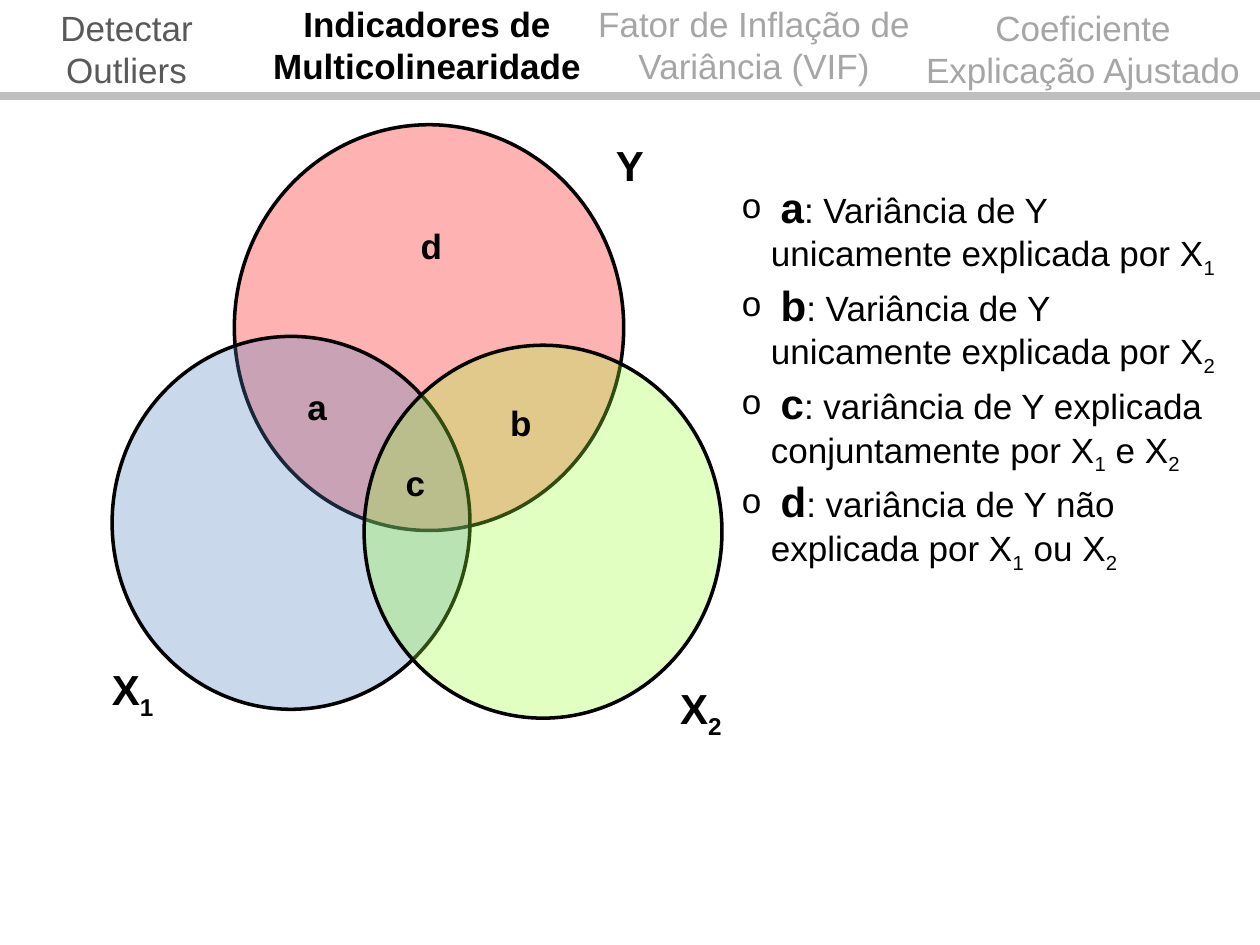
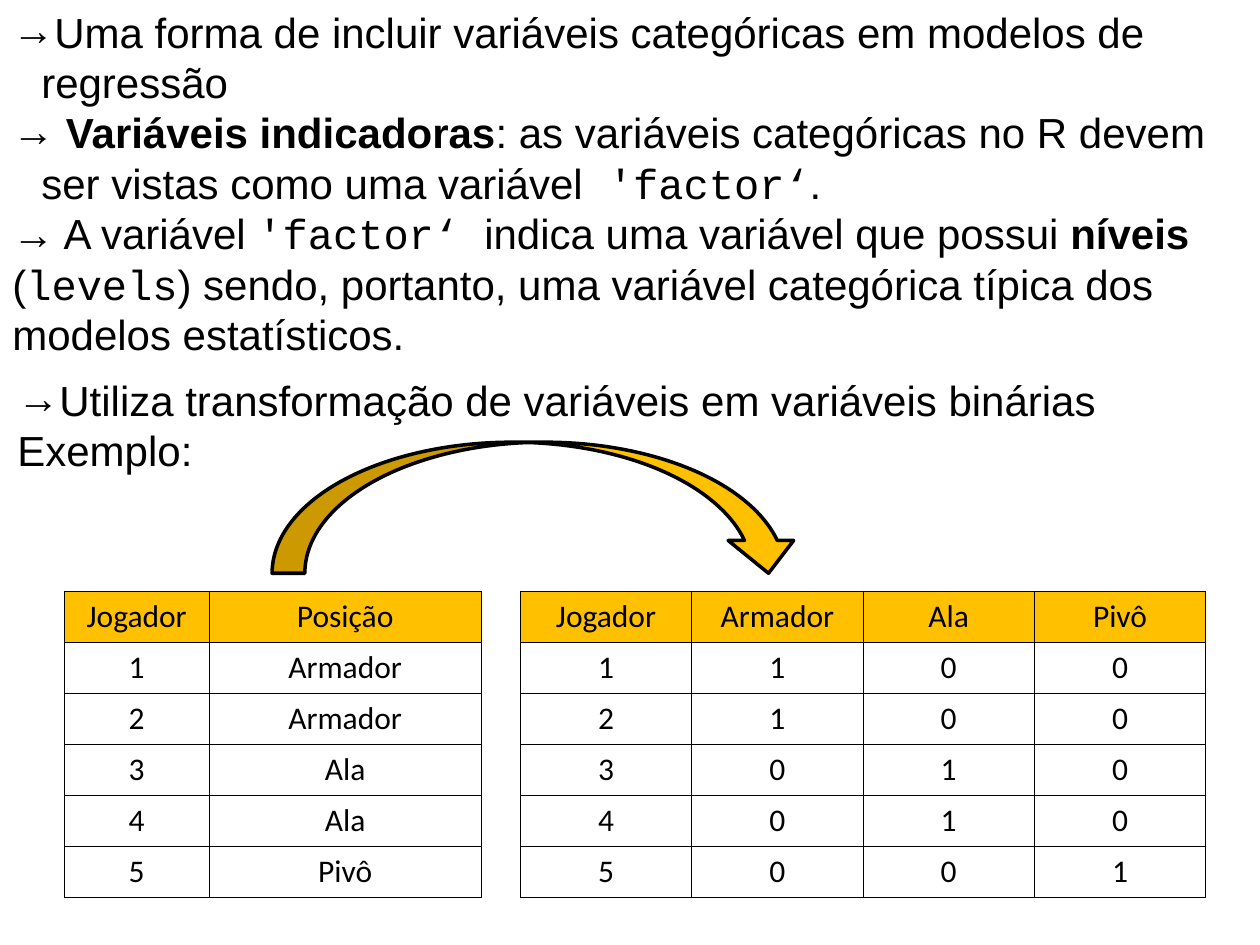
from dataclasses import dataclass
from typing import Any, Optional

from lxml.etree import SubElement
from pptx import Presentation
from pptx.dml.color import RGBColor
from pptx.enum.shapes import MSO_CONNECTOR, MSO_SHAPE
from pptx.enum.text import MSO_ANCHOR, MSO_AUTO_SIZE, PP_ALIGN
from pptx.oxml.ns import qn
from pptx.util import Emu, Pt

PX = 9144  # EMU per px: 100 px to the inch
SLIDE_WIDTH, SLIDE_HEIGHT = 1000, 750
BULLET_INDENT = 23

BLACK = RGBColor(0x00, 0x00, 0x00)
DARK_GRAY = RGBColor(0x59, 0x59, 0x59)
LIGHT_GRAY = RGBColor(0xA6, 0xA6, 0xA6)
RULE_GRAY = RGBColor(0xBF, 0xBF, 0xBF)
RED = RGBColor(0xFF, 0x00, 0x00)
BLUE = RGBColor(0x4F, 0x81, 0xBD)
GREEN = RGBColor(0x99, 0xFF, 0x33)
GOLD = RGBColor(0xFF, 0xC0, 0x00)

ARIAL, CALIBRI, COURIER = "Arial", "Calibri", "Courier New"


@dataclass(frozen=True)
class Box:
    left: int
    top: int
    width: int
    height: int

    def emu(self) -> tuple[Emu, ...]:
        return tuple(px(v) for v in (self.left, self.top, self.width, self.height))


@dataclass(frozen=True)
class Run:
    text: str
    size: int = 24
    bold: bool = False
    font: str = ARIAL
    color: RGBColor = BLACK
    subscript: bool = False


@dataclass(frozen=True)
class Line:
    runs: list[Run]
    bullet: Optional[str] = None
    align: PP_ALIGN = PP_ALIGN.LEFT


@dataclass(frozen=True)
class Tab:
    text: str
    box: Box
    color: RGBColor
    active: bool = False


@dataclass(frozen=True)
class Circle:
    box: Box
    color: RGBColor


@dataclass(frozen=True)
class Label:
    box: Box
    text: str
    size: int
    index: str = ""


@dataclass(frozen=True)
class Grid:
    box: Box
    columns: list[int]
    rows: list[list[str]]


TABS = [
    Tab("Detectar Outliers", Box(0, 0, 201, 77), DARK_GRAY),
    Tab("Indicadores de Multicolinearidade", Box(201, -3, 276, 77), BLACK, True),
    Tab("Fator de Inflação de Variância (VIF)", Box(453, -3, 291, 77), LIGHT_GRAY),
    Tab("Coeficiente Explicação Ajustado", Box(719, 0, 281, 77), LIGHT_GRAY),
]

CIRCLES = [
    Circle(Box(186, 99, 309, 322), RED),
    Circle(Box(89, 267, 284, 296), BLUE),
    Circle(Box(289, 274, 284, 296), GREEN),
]

LABELS = [
    Label(Box(479, 106, 42, 50), "Y", 24),
    Label(Box(79, 522, 53, 56), "X", 24, "1"),
    Label(Box(530, 537, 53, 56), "X", 24, "2"),
    Label(Box(234, 301, 35, 44), "a", 20),
    Label(Box(395, 314, 37, 44), "b", 20),
    Label(Box(312, 361, 35, 44), "c", 20),
    Label(Box(324, 173, 37, 44), "d", 20),
]

# Each region: letter, then alternating text and subscript
REGIONS = [
    ("a", [": Variância de Y unicamente explicada por X", "1"]),
    ("b", [": Variância de Y unicamente explicada por X", "2"]),
    ("c", [": variância de Y explicada conjuntamente por X", "1", " e X", "2"]),
    ("d", [": variância de Y não explicada por X", "1", " ou X", "2"]),
]

POSITIONS = ["Armador", "Ala", "Pivô"]
PLAYERS = ["Armador", "Armador", "Ala", "Ala", "Pivô"]


def px(value: int) -> Emu:
    return Emu(value * PX)


def add_bullet(paragraph: Any, character: str) -> None:
    properties = paragraph._p.get_or_add_pPr()
    properties.set("marL", str(px(BULLET_INDENT)))
    properties.set("indent", str(-px(BULLET_INDENT)))
    color = SubElement(properties, qn("a:buClr"))
    SubElement(color, qn("a:srgbClr"), val=str(BLACK))
    SubElement(properties, qn("a:buFont"), typeface=ARIAL)
    SubElement(properties, qn("a:buChar"), char=character)


def write_lines(frame: Any, lines: list[Line]) -> None:
    for number, line in enumerate(lines):
        paragraph = frame.add_paragraph() if number else frame.paragraphs[0]
        paragraph.alignment = line.align
        if line.bullet:
            add_bullet(paragraph, line.bullet)
        for item in line.runs:
            run = paragraph.add_run()
            run.text = item.text
            run.font.size = Pt(item.size)
            run.font.bold = item.bold
            run.font.name = item.font
            run.font.color.rgb = item.color
            if item.subscript:
                run._r.get_or_add_rPr().set("baseline", "-25000")


def fill_text(shape: Any, lines: list[Line], wrap: bool = True) -> None:
    frame = shape.text_frame
    frame.word_wrap = wrap
    frame.auto_size = MSO_AUTO_SIZE.SHAPE_TO_FIT_TEXT
    frame.vertical_anchor = MSO_ANCHOR.TOP
    write_lines(frame, lines)


def add_text(shapes: Any, box: Box, lines: list[Line], wrap: bool = True) -> None:
    fill_text(shapes.add_textbox(*box.emu()), lines, wrap)


def add_outlined(shapes: Any, kind: MSO_SHAPE, box: Box, color: RGBColor) -> Any:
    shape = shapes.add_shape(kind, *box.emu())
    shape.shadow.inherit = False
    shape.fill.solid()
    shape.fill.fore_color.rgb = color
    shape.line.color.rgb = BLACK
    shape.line.width = Pt(2)
    return shape


def add_circle(shapes: Any, circle: Circle) -> None:
    shape = add_outlined(shapes, MSO_SHAPE.OVAL, circle.box, circle.color)
    fill_color = shape._element.xpath("./p:spPr/a:solidFill/a:srgbClr")[0]
    SubElement(fill_color, qn("a:alpha"), val="30000")


def add_navigation(slide: Any) -> None:
    for tab in TABS:
        line = Line([Run(tab.text, 20, tab.active, color=tab.color)], align=PP_ALIGN.CENTER)
        if tab.active:  # the current section is the slide title
            title = slide.shapes.title
            title.left, title.top, title.width, title.height = tab.box.emu()
            fill_text(title, [line])
        else:
            add_text(slide.shapes, tab.box, [line])
    rule = slide.shapes.add_connector(
        MSO_CONNECTOR.STRAIGHT, px(0), px(76), px(SLIDE_WIDTH), px(76))
    rule.line.color.rgb = RULE_GRAY
    rule.line.width = Pt(4.5)
    SubElement(rule._element.spPr, qn("a:effectLst"))


def add_borders(cell: Any) -> None:
    properties = cell._tc.get_or_add_tcPr()
    for position, side in enumerate(("a:lnL", "a:lnR", "a:lnT", "a:lnB")):
        border = properties.makeelement(qn(side), {"w": str(Pt(0.45))})
        fill = SubElement(border, qn("a:solidFill"))
        SubElement(fill, qn("a:srgbClr"), val=str(BLACK))
        properties.insert(position, border)


def add_grid(slide: Any, grid: Grid) -> None:
    frame = slide.shapes.add_table(len(grid.rows), len(grid.columns), *grid.box.emu())
    table = frame.table
    table.first_row = table.horz_banding = False
    for column, width in zip(table.columns, grid.columns):
        column.width = px(width)
    for row in table.rows:
        row.height = px(grid.box.height) // len(grid.rows)
    for row_number, values in enumerate(grid.rows):
        for column_number, value in enumerate(values):
            cell = table.cell(row_number, column_number)
            if row_number == 0:
                cell.fill.solid()
                cell.fill.fore_color.rgb = GOLD
            else:
                cell.fill.background()
            cell.vertical_anchor = MSO_ANCHOR.MIDDLE
            write_lines(cell.text_frame, [
                Line([Run(value, 18, font=CALIBRI)], align=PP_ALIGN.CENTER)])
            add_borders(cell)


def region_line(letter: str, pieces: list[str]) -> Line:
    runs = [Run(" ", 20, True), Run(letter, 24, True)]
    runs += [Run(piece, 20, subscript=number % 2 == 1)
             for number, piece in enumerate(pieces)]
    return Line(runs, "o")


def build_venn_slide(presentation: Any) -> None:
    slide = presentation.slides.add_slide(presentation.slide_layouts[5])
    add_navigation(slide)

    # Venn diagram with its labels
    diagram = slide.shapes.add_group_shape().shapes
    for circle in CIRCLES:
        add_circle(diagram, circle)
    for label in LABELS:
        runs = [Run(label.text, label.size, True)]
        if label.index:
            runs.append(Run(label.index, label.size, True, subscript=True))
        add_text(diagram, label.box, [Line(runs)], wrap=False)

    # Meaning of each region
    add_text(slide.shapes, Box(579, 139, 405, 322),
             [region_line(letter, pieces) for letter, pieces in REGIONS])


def build_dummy_slide(presentation: Any) -> None:
    slide = presentation.slides.add_slide(presentation.slide_layouts[6])

    add_text(slide.shapes, Box(4, 292, 876, 90), [
        Line([Run("Utiliza transformação de variáveis em variáveis binárias")], "→"),
        Line([Run("Exemplo:")]),
    ], wrap=False)

    # Categorical table and its binary coding
    add_grid(slide, Grid(
        Box(51, 469, 331, 243), [115, 216],
        [["Jogador", "Posição"]]
        + [[str(number), player] for number, player in enumerate(PLAYERS, 1)]))
    add_grid(slide, Grid(
        Box(413, 469, 544, 243), [136] * 4,
        [["Jogador", *POSITIONS]]
        + [[str(number), *(str(int(player == position)) for position in POSITIONS)]
           for number, player in enumerate(PLAYERS, 1)]))
    add_outlined(slide.shapes, MSO_SHAPE.CURVED_DOWN_ARROW, Box(216, 351, 420, 104), GOLD)

    # Explanation
    add_text(slide.shapes, Box(0, 0, 1000, 290), [
        Line([Run("Uma forma de incluir variáveis categóricas em modelos de regressão")], "→"),
        Line([
            Run(" "),
            Run("Variáveis indicadoras", bold=True),
            Run(": as variáveis categóricas no R devem ser vistas como uma variável"),
            Run(" 'factor‘", font=COURIER),
            Run("."),
        ], "→"),
        Line([
            Run("→ A variável "),
            Run("'factor‘ ", font=COURIER),
            Run("indica uma variável que possui "),
            Run("níveis", bold=True),
            Run(" ("),
            Run("levels", font=COURIER),
            Run(") sendo, portanto, uma variável categórica típica dos modelos estatísticos."),
        ]),
    ])


def main() -> None:
    presentation = Presentation()
    presentation.slide_width = px(SLIDE_WIDTH)
    presentation.slide_height = px(SLIDE_HEIGHT)
    build_venn_slide(presentation)
    build_dummy_slide(presentation)
    presentation.save("out.pptx")


if __name__ == "__main__":
    main()
